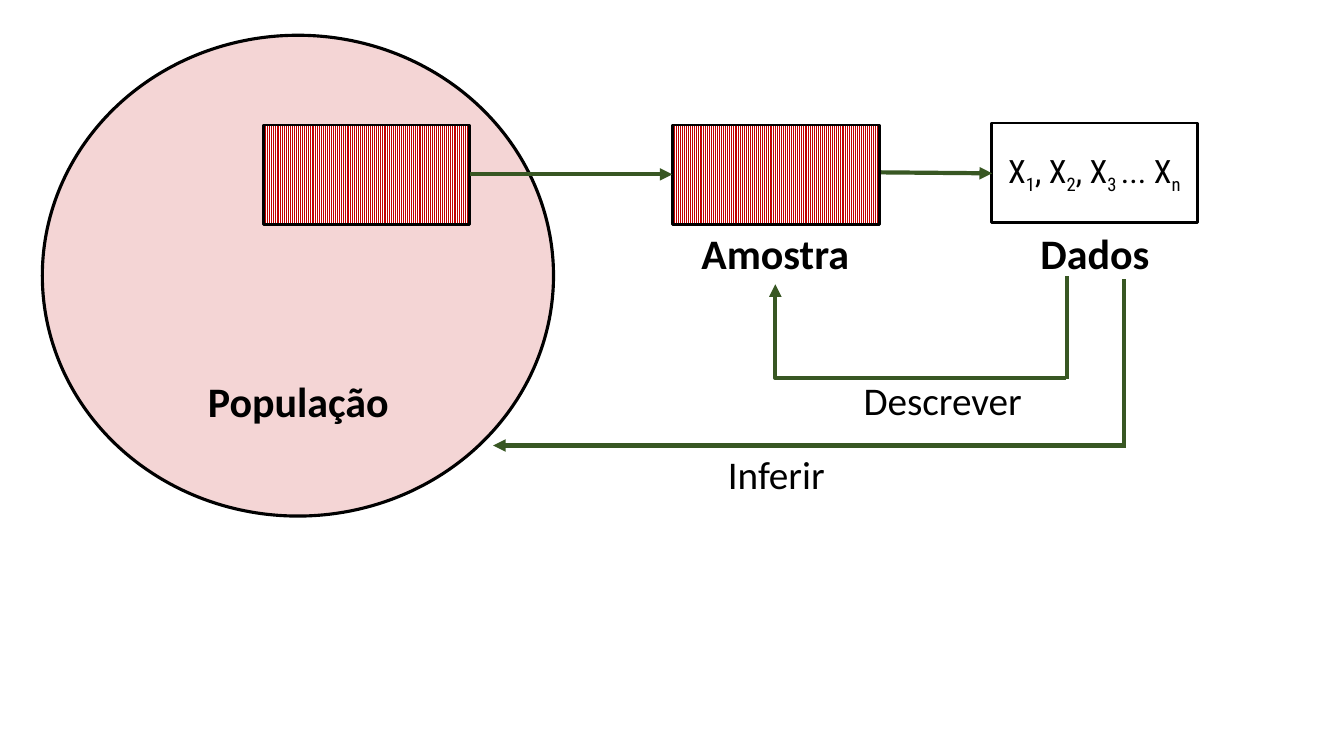
from lxml import etree
from pptx import Presentation
from pptx.dml.color import RGBColor
from pptx.enum.dml import MSO_PATTERN
from pptx.enum.shapes import MSO_CONNECTOR as Link, MSO_SHAPE as Shape
from pptx.enum.text import MSO_ANCHOR, PP_ALIGN
from pptx.oxml.ns import qn
from pptx.util import Inches, Pt

BLACK = RGBColor(0x00, 0x00, 0x00)
WHITE = RGBColor(0xFF, 0xFF, 0xFF)
ROSE = RGBColor(0xEA, 0xAC, 0xAC)
RED = RGBColor(0xC0, 0x00, 0x00)
GREEN = RGBColor(0x38, 0x57, 0x23)

BOX_W, BOX_H = 2.05, 0.99
LABEL_W = 2.46


class Diagram:
    label_font = "Calibri"
    data_font = "Roboto Condensed"

    def __init__(self, slide):
        self.shapes = slide.shapes

    def outlined(self, kind, left, top, width, height, line_width=2):
        shape = self.shapes.add_shape(
            kind, Inches(left), Inches(top), Inches(width), Inches(height))
        shape.shadow.inherit = False
        shape.line.color.rgb = BLACK
        shape.line.width = Pt(line_width)
        return shape

    def population(self, left, top, width, height):
        circle = self.outlined(Shape.OVAL, left, top, width, height, 2.25)
        circle.fill.solid()
        circle.fill.fore_color.rgb = ROSE
        color = circle.fill._xPr.find(qn("a:solidFill"))[0]
        etree.SubElement(color, qn("a:alpha"), val="50000")

    def striped_box(self, left, top):
        box = self.outlined(Shape.RECTANGLE, left, top, BOX_W, BOX_H)
        box.fill.patterned()
        box.fill.pattern = MSO_PATTERN.LIGHT_VERTICAL
        box.fill.fore_color.rgb = RED
        box.fill.back_color.rgb = WHITE

    def data_box(self, left, top, terms):
        """Draw a white box whose terms are (base text, subscript) pairs."""
        box = self.outlined(Shape.RECTANGLE, left, top, BOX_W, BOX_H)
        box.fill.solid()
        box.fill.fore_color.rgb = WHITE
        frame = box.text_frame
        frame.vertical_anchor = MSO_ANCHOR.MIDDLE
        paragraph = frame.paragraphs[0]
        paragraph.alignment = PP_ALIGN.CENTER
        for term in terms:
            for text, baseline in zip(term, ("0", "-25000")):
                run = paragraph.add_run()
                run.text = text
                self.format_run(run, self.data_font, 23)
                run._r.get_or_add_rPr().set("baseline", baseline)

    def label(self, text, left, top, size=30, bold=True):
        height = 0.61 if bold else 0.57
        box = self.shapes.add_textbox(
            Inches(left), Inches(top), Inches(LABEL_W), Inches(height))
        frame = box.text_frame
        frame.word_wrap = True
        frame.text = text
        paragraph = frame.paragraphs[0]
        paragraph.alignment = PP_ALIGN.CENTER
        self.format_run(paragraph.runs[0], self.label_font, size, bold)

    def format_run(self, run, font, size, bold=False):
        run.font.name = font
        run.font.size = Pt(size)
        run.font.bold = bold
        run.font.color.rgb = BLACK

    def line(self, start, end, arrow=True, kind=Link.STRAIGHT):
        link = self.shapes.add_connector(kind, *map(Inches, start + end))
        link.line.color.rgb = GREEN
        link.line.width = Pt(3)
        if arrow:
            etree.SubElement(link.line._get_or_add_ln(), qn("a:tailEnd"),
                             type="triangle")
        etree.SubElement(link._element.spPr, qn("a:effectLst"))
        return link

    def corner_arrow(self, top_left, bottom_right):
        """Run left along the bottom edge, then up the left edge."""
        link = self.line(top_left, bottom_right, kind=Link.ELBOW)
        properties = link._element.spPr
        properties.find(qn("a:prstGeom")).set("prst", "bentConnector2")
        properties.find(qn("a:xfrm")).set("rot", "10800000")


def main():
    deck = Presentation()
    deck.slide_width, deck.slide_height = Inches(13.33), Inches(7.5)
    diagram = Diagram(deck.slides.add_slide(deck.slide_layouts[6]))

    diagram.population(0.42, 0.35, 5.07, 4.77)
    diagram.label("População", 1.73, 3.68)
    for left in (2.61, 6.67):
        diagram.striped_box(left, 1.24)
    diagram.line((4.66, 1.73), (6.67, 1.73))
    diagram.label("Amostra", 6.46, 2.21)
    diagram.data_box(9.83, 1.22, [("X", "1"), (", X", "2"),
                                  (", X", "3 "), ("... X", "n")])
    diagram.line((8.74, 1.71), (9.84, 1.72))
    diagram.label("Dados", 9.63, 2.21)

    diagram.corner_arrow((7.69, 2.82), (10.57, 3.75))
    diagram.line((10.58, 3.76), (10.58, 2.74), arrow=False)
    diagram.line((11.15, 4.44), (11.15, 2.77), arrow=False)
    diagram.label("Descrever", 8.12, 3.68, size=28, bold=False)
    diagram.label("Inferir", 6.47, 4.42, size=28, bold=False)
    diagram.line((11.15, 4.42), (4.89, 4.42))

    deck.save("out.pptx")


if __name__ == "__main__":
    main()
